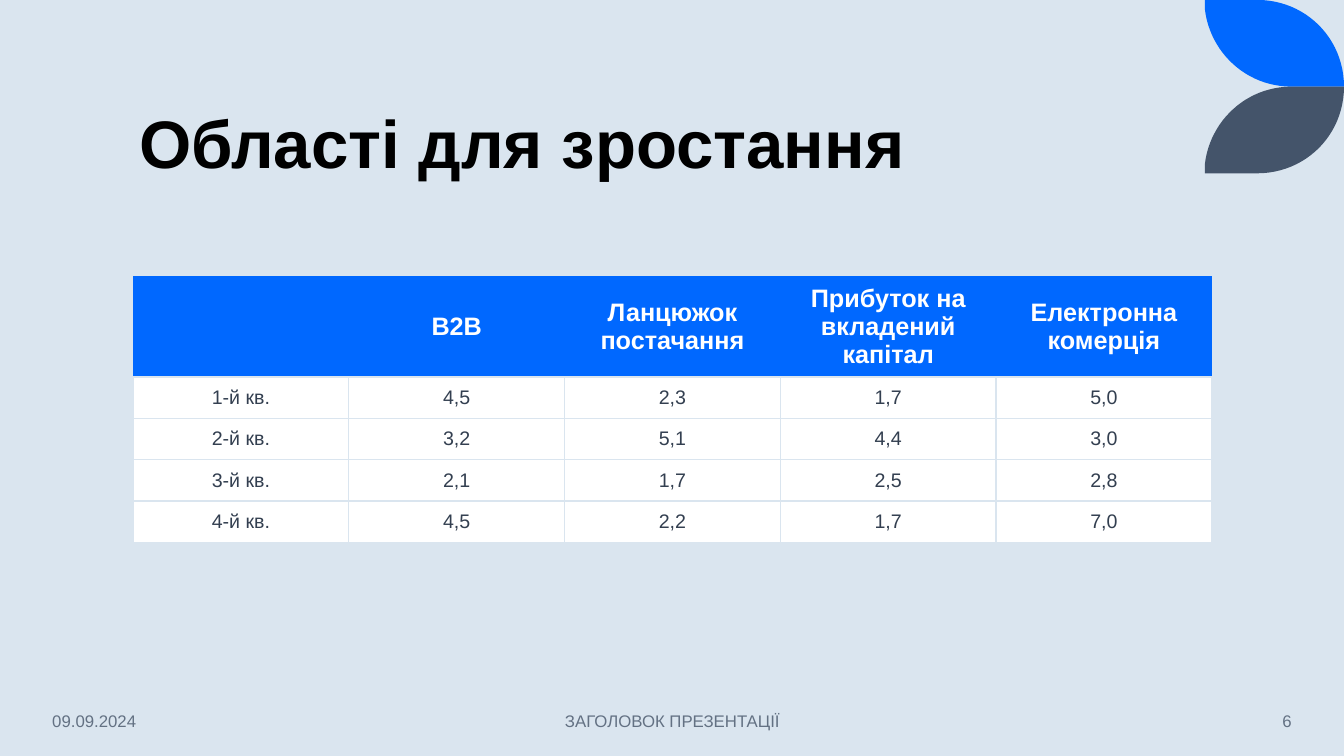
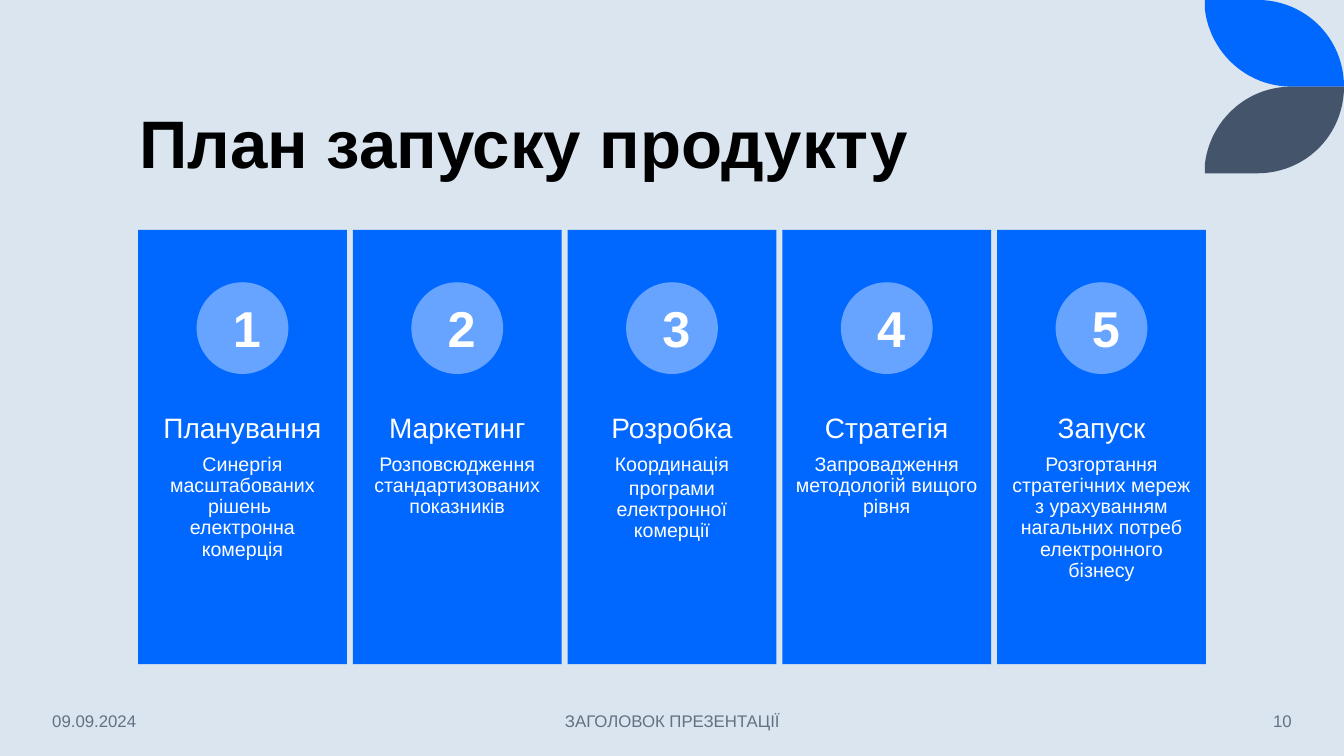
from dataclasses import dataclass

from lxml import etree
from pptx import Presentation
from pptx.dml.color import RGBColor
from pptx.enum.shapes import MSO_SHAPE
from pptx.enum.text import MSO_ANCHOR, MSO_AUTO_SIZE, PP_ALIGN
from pptx.oxml.ns import qn
from pptx.presentation import Presentation as Deck
from pptx.shapes.autoshape import Shape
from pptx.slide import Slide
from pptx.table import _Cell
from pptx.text.text import TextFrame, _Paragraph
from pptx.util import Inches, Pt

PALE = RGBColor(0xDA, 0xE5, 0xEF)
BLUE = RGBColor(0x00, 0x68, 0xFF)
LIGHT_BLUE = RGBColor(0x66, 0xA4, 0xFF)
SLATE = RGBColor(0x44, 0x54, 0x6A)
INK = RGBColor(0x33, 0x3F, 0x50)
MUTED = RGBColor(0x63, 0x71, 0x83)
BLACK = RGBColor(0, 0, 0)
WHITE = RGBColor(0xFF, 0xFF, 0xFF)

FONT = "Arial"
TITLE_ONLY = 5
DATE = "09.09.2024"
FOOTER = "ЗАГОЛОВОК ПРЕЗЕНТАЦІЇ"

LEAF_LEFT, LEAF_HEIGHT = 11.95, 0.86
CURVE_STEPS = 24

Point = tuple[float, float]


@dataclass(frozen=True)
class TextStyle:
    size: float
    color: RGBColor
    bold: bool = False
    align: PP_ALIGN = PP_ALIGN.CENTER
    line_spacing: float = 1.0
    space_after: float = 0


@dataclass(frozen=True)
class Stage:
    heading: str
    details: tuple[str, ...]


TITLE = TextStyle(48, BLACK, True, PP_ALIGN.LEFT, 0.9)
TABLE_HEADER = TextStyle(18, WHITE, True)
TABLE_BODY = TextStyle(14, INK)
STAGE_HEADING = TextStyle(20, WHITE, line_spacing=0.9, space_after=7)
STAGE_DETAIL = TextStyle(14, WHITE, line_spacing=0.9, space_after=2)
STAGE_NUMBER = TextStyle(36, WHITE, True)

GROWTH_ROWS = (
    ("", "B2B", "Ланцюжок постачання", "Прибуток на вкладений капітал",
     "Електронна комерція"),
    ("1-й кв.", "4,5", "2,3", "1,7", "5,0"),
    ("2-й кв.", "3,2", "5,1", "4,4", "3,0"),
    ("3-й кв.", "2,1", "1,7", "2,5", "2,8"),
    ("4-й кв.", "4,5", "2,2", "1,7", "7,0"),
)

STAGES = (
    Stage("Планування", ("Синергія масштабованих рішень \vелектронна комерція",)),
    Stage("Маркетинг", ("Розповсюдження стандартизованих показників",)),
    Stage("Розробка", ("Координація", "програми електронної комерції")),
    Stage("Стратегія", ("Запровадження методологій вищого рівня",)),
    Stage("Запуск", ("Розгортання стратегічних мереж з урахуванням "
                     "нагальних потреб електронного бізнесу",)),
)


def write(paragraph: _Paragraph, text: str, style: TextStyle) -> None:
    paragraph.text = text
    paragraph.alignment = style.align
    paragraph.line_spacing = style.line_spacing
    paragraph.space_before = Pt(0)
    paragraph.space_after = Pt(style.space_after)
    font = paragraph.font
    font.name, font.size, font.bold = FONT, Pt(style.size), style.bold
    font.color.rgb = style.color


def add_text(slide: Slide, left: float, top: float, width: float, height: float,
             lines: list[tuple[str, TextStyle]],
             anchor: MSO_ANCHOR = MSO_ANCHOR.TOP) -> TextFrame:
    box = slide.shapes.add_textbox(
        Inches(left), Inches(top), Inches(width), Inches(height))
    frame = box.text_frame
    frame.word_wrap = True
    frame.vertical_anchor = anchor
    for index, (text, style) in enumerate(lines):
        paragraph = frame.add_paragraph() if index else frame.paragraphs[0]
        write(paragraph, text, style)
    return frame


def paint(shape: Shape, color: RGBColor) -> None:
    shape.shadow.inherit = False
    shape.fill.solid()
    shape.fill.fore_color.rgb = color
    shape.line.fill.background()


def add_filled(slide: Slide, kind: MSO_SHAPE, left: float, top: float,
               width: float, height: float, color: RGBColor) -> None:
    shape = slide.shapes.add_shape(
        kind, Inches(left), Inches(top), Inches(width), Inches(height))
    paint(shape, color)


def bezier(a: Point, b: Point, c: Point, d: Point) -> list[Point]:
    """Sample a cubic curve from a to d, leaving out its start."""
    points = []
    for step in range(1, CURVE_STEPS + 1):
        t = step / CURVE_STEPS
        weights = ((1 - t) ** 3, 3 * t * (1 - t) ** 2, 3 * t * t * (1 - t), t ** 3)
        x, y = (sum(w * v for w, v in zip(weights, axis))
                for axis in zip(a, b, c, d))
        points.append((x, y))
    return points


def add_leaf(slide: Slide, color: RGBColor, mirrored: bool) -> None:
    """Draw the corner leaf, or its reflection in the leaf's lower edge."""
    outline = [
        (LEAF_LEFT, 0), (12.47, 0),
        *bezier((12.47, 0), (12.95, 0), (13.33, 0.38), (13.33, LEAF_HEIGHT)),
        (12.81, LEAF_HEIGHT),
        *bezier((12.81, LEAF_HEIGHT), (12.36, LEAF_HEIGHT), (12, 0.52),
                (LEAF_LEFT, 0.09)),
    ]
    if mirrored:
        outline = [(x, 2 * LEAF_HEIGHT - y) for x, y in outline]
    start, *rest = [(Inches(x), Inches(y)) for x, y in outline]
    builder = slide.shapes.build_freeform(*start)
    builder.add_line_segments(rest, close=True)
    paint(builder.convert_to_shape(), color)


def add_slide(deck: Deck, title: str, number: int) -> Slide:
    """Add a slide with the shared title, leaves and footer."""
    slide = deck.slides.add_slide(deck.slide_layouts[TITLE_ONLY])
    heading = slide.shapes.title
    heading.left, heading.top = Inches(1.28), Inches(0.42)
    heading.width, heading.height = Inches(10.69), Inches(1.45)
    frame = heading.text_frame
    frame.auto_size = MSO_AUTO_SIZE.NONE
    frame.vertical_anchor = MSO_ANCHOR.BOTTOM
    write(frame.paragraphs[0], title, TITLE)

    add_leaf(slide, BLUE, mirrored=False)
    add_leaf(slide, SLATE, mirrored=True)

    for text, left, width, align in (
        (DATE, 0.42, 1.86, PP_ALIGN.LEFT),
        (FOOTER, 4.42, 4.5, PP_ALIGN.CENTER),
        (str(number), 11.1, 1.81, PP_ALIGN.RIGHT),
    ):
        add_text(slide, left, 6.95, width, 0.4,
                 [(text, TextStyle(12, MUTED, align=align))], MSO_ANCHOR.MIDDLE)
    return slide


def set_borders(cell: _Cell, visible_sides: str) -> None:
    """Line the sides named by letters of LRTB and clear the others."""
    properties = cell._tc.get_or_add_tcPr()
    for position, side in enumerate("LRTB"):
        line = etree.Element(qn(f"a:ln{side}"), w=str(Pt(1)))
        if side in visible_sides:
            fill = etree.SubElement(line, qn("a:solidFill"))
            etree.SubElement(fill, qn("a:srgbClr"), val=str(PALE))
        else:
            etree.SubElement(line, qn("a:noFill"))
        properties.insert(position, line)


def add_growth_table(slide: Slide) -> None:
    column_count, row_count = len(GROWTH_ROWS[0]), len(GROWTH_ROWS)
    header_height, row_height = Inches(0.93), Inches(0.41)
    table = slide.shapes.add_table(
        row_count, column_count, Inches(1.32), Inches(2.74), Inches(10.7),
        header_height + row_height * (row_count - 1)).table
    table.first_row = table.horz_banding = False
    for row_index, values in enumerate(GROWTH_ROWS):
        is_header = row_index == 0
        table.rows[row_index].height = header_height if is_header else row_height
        for column_index, value in enumerate(values):
            cell = table.cell(row_index, column_index)
            cell.vertical_anchor = MSO_ANCHOR.MIDDLE
            cell.fill.solid()
            cell.fill.fore_color.rgb = BLUE if is_header else WHITE
            set_borders(cell, "B" if is_header else "LRTB")
            write(cell.text_frame.paragraphs[0], value,
                  TABLE_HEADER if is_header else TABLE_BODY)


def add_stage(slide: Slide, number: int, stage: Stage) -> None:
    width, pitch = 2.07, 2.13
    left = 1.37 + pitch * (number - 1)
    add_filled(slide, MSO_SHAPE.RECTANGLE, left, 2.28, width, 4.31, BLUE)
    add_filled(slide, MSO_SHAPE.OVAL, left + 0.58, 2.8, 0.91, 0.91, LIGHT_BLUE)

    digit = add_text(slide, left + 0.84, 2.9, 0.38, 0.71,
                     [(str(number), STAGE_NUMBER)])
    digit.margin_right = 0

    details = [(text, STAGE_DETAIL) for text in stage.details]
    frame = add_text(slide, left, 4, width, 1.72,
                     [(stage.heading, STAGE_HEADING), *details])
    frame.margin_left = frame.margin_right = Inches(0.11)
    frame.margin_top = frame.margin_bottom = Inches(0.11)


def main() -> None:
    deck = Presentation()
    deck.slide_width, deck.slide_height = Inches(13.33), Inches(7.5)
    background = deck.slide_master.background.fill
    background.solid()
    background.fore_color.rgb = PALE

    add_growth_table(add_slide(deck, "Області для зростання", 6))

    launch = add_slide(deck, "План запуску продукту", 10)
    for number, stage in enumerate(STAGES, start=1):
        add_stage(launch, number, stage)

    deck.save("out.pptx")


if __name__ == "__main__":
    main()
